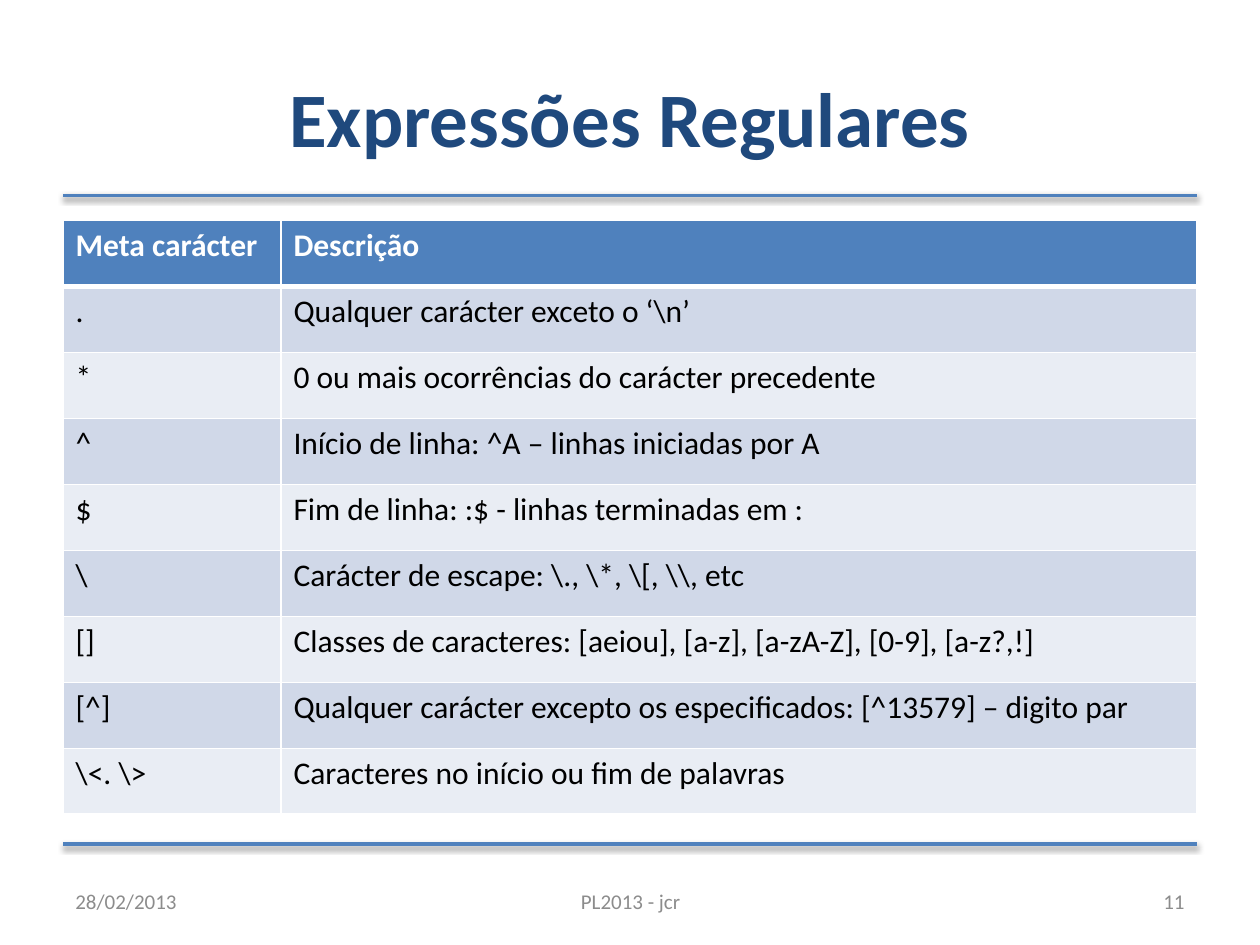
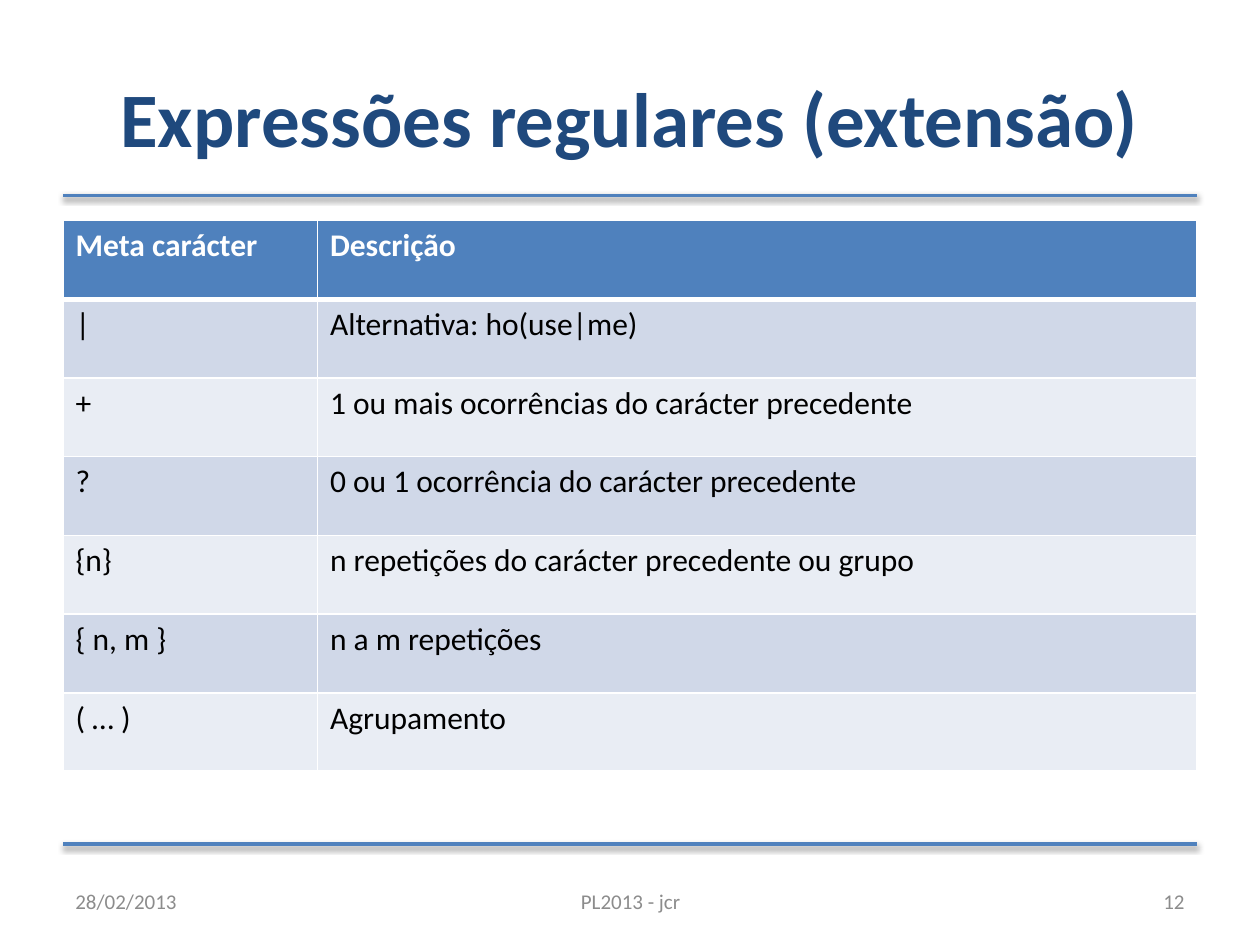
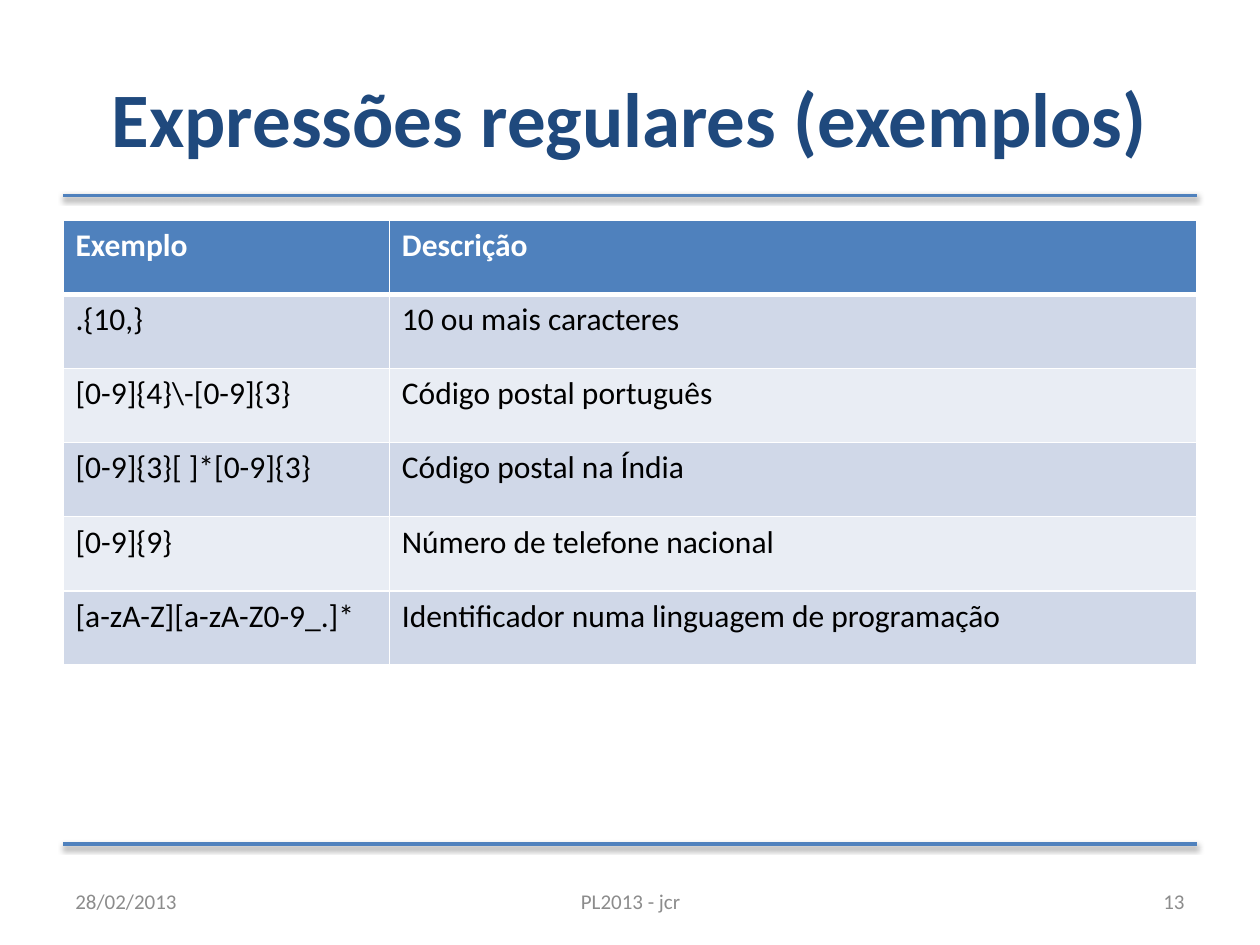
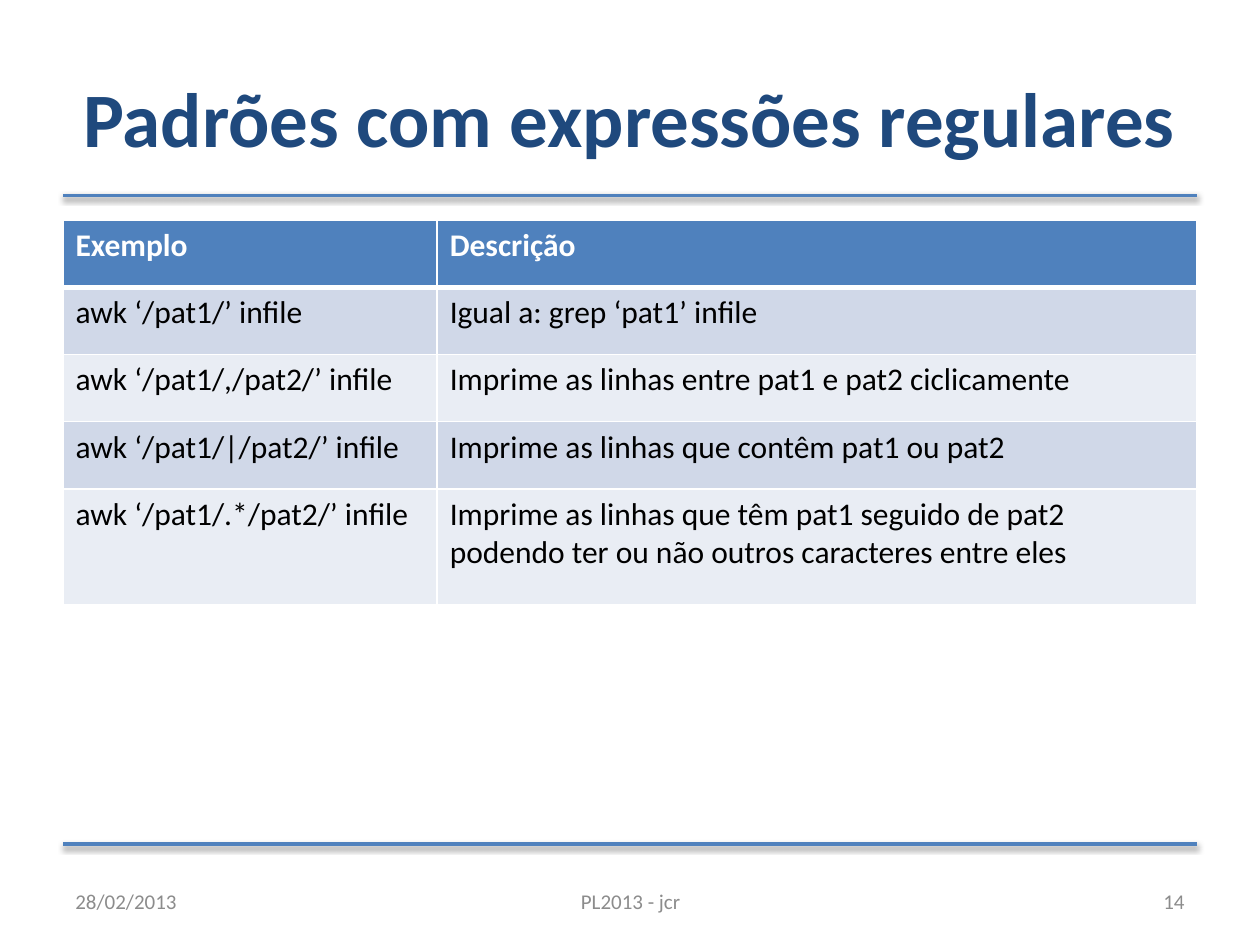
"""Build four slides of regular expression tables with a shared title, rules and footer."""
from lxml import etree
from pptx import Presentation
from pptx.dml.color import RGBColor
from pptx.enum.shapes import MSO_CONNECTOR
from pptx.enum.text import MSO_ANCHOR, MSO_AUTO_SIZE, PP_ALIGN
from pptx.oxml import parse_xml
from pptx.oxml.ns import nsdecls
from pptx.util import Inches, Pt

LEFT, CENTER, RIGHT = PP_ALIGN.LEFT, PP_ALIGN.CENTER, PP_ALIGN.RIGHT
MIDDLE = MSO_ANCHOR.MIDDLE
STRAIGHT = MSO_CONNECTOR.STRAIGHT
NO_AUTOFIT = MSO_AUTO_SIZE.NONE

FONT = "Calibri"
NAVY, BLUE, GREY = "1F497D", "4F81BD", "8C8C8C"
WHITE, BLACK = "FFFFFF", "000000"
BANDS = ["E9EDF4", "D0D8E8"]
MARGIN, WIDTH = 0.5, 9
TABLE_TOP = 1.75
RULE_TOPS = [1.55, 6.7]
FIRST_NUMBER = 11

SHADOW = (
    f'<a:effectLst {nsdecls("a")}><a:outerShdw blurRad="40000" dist="20000" dir="5400000" '
    'rotWithShape="0"><a:srgbClr val="000000"><a:alpha val="38000"/></a:srgbClr>'
    '</a:outerShdw></a:effectLst>'
)

TOPICS = [
    {
        "title": "Expressões Regulares",
        "first_column": 1.73, "height": 4.71, "last_row": 0.52,
        "rows": [
            ("Meta carácter", "Descrição"),
            (".", "Qualquer carácter exceto o ‘\\n’"),
            ("*", "0 ou mais ocorrências do carácter precedente"),
            ("^", "Início de linha: ^A – linhas iniciadas por A"),
            ("$", "Fim de linha: :$ - linhas terminadas em :"),
            ("\\", "Carácter de escape: \\., \\*, \\[, \\\\, etc"),
            ("[]", "Classes de caracteres: [aeiou], [a-z], [a-zA-Z], [0-9], [a-z?,!]"),
            ("[^]", "Qualquer carácter excepto os especificados: [^13579] – digito par"),
            ("\\<. \\>", "Caracteres no início ou fim de palavras"),
        ],
    },
    {
        "title": "Expressões regulares (extensão)",
        "first_column": 2.02, "height": 4.37, "last_row": 0.62,
        "rows": [
            ("Meta carácter", "Descrição"),
            ("|", "Alternativa: ho(use|me)"),
            ("+", "1 ou mais ocorrências do carácter precedente"),
            ("?", "0 ou 1 ocorrência do carácter precedente"),
            ("{n}", "n repetições do carácter precedente ou grupo"),
            ("{ n, m }", "n a m repetições"),
            ("( … )", "Agrupamento"),
        ],
    },
    {
        "title": "Expressões regulares (exemplos)",
        "first_column": 2.59, "height": 3.53, "last_row": 0.59,
        "rows": [
            ("Exemplo", "Descrição"),
            (".{10,}", "10 ou mais caracteres"),
            ("[0-9]{4}\\-[0-9]{3}", "Código postal português"),
            ("[0-9]{3}[ ]*[0-9]{3}", "Código postal na Índia"),
            ("[0-9]{9}", "Número de telefone nacional"),
            ("[a-zA-Z][a-zA-Z0-9_.]*", "Identificador numa linguagem de programação"),
        ],
    },
    {
        "title": "Padrões com expressões regulares",
        "first_column": 2.97, "height": 3.05, "last_row": 0.92,
        "rows": [
            ("Exemplo", "Descrição"),
            ("awk ‘/pat1/’ infile", "Igual a: grep ‘pat1’ infile"),
            ("awk ‘/pat1/,/pat2/’ infile", "Imprime as linhas entre pat1 e pat2 ciclicamente"),
            ("awk ‘/pat1/|/pat2/’ infile", "Imprime as linhas que contêm pat1 ou pat2"),
            ("awk ‘/pat1/.*/pat2/’ infile",
             "Imprime as linhas que têm pat1 seguido de pat2 podendo ter ou não "
             "outros caracteres entre eles"),
        ],
    },
]


def color(target, value):
    """Give a fill or a font a solid colour from a hex string."""
    if hasattr(target, "solid"):
        target.solid()
        target.fore_color.rgb = RGBColor.from_string(value)
    else:
        target.color.rgb = RGBColor.from_string(value)


def write(frame, text, size, ink, bold=False, align=LEFT):
    """Put one formatted paragraph into a text frame."""
    frame.text = text
    paragraph = frame.paragraphs[0]
    paragraph.alignment = align
    paragraph.font.name = FONT
    paragraph.font.size = Pt(size)
    paragraph.font.bold = bold
    color(paragraph.font, ink)


deck = Presentation()
deck.slide_width, deck.slide_height = Inches(10), Inches(7.5)
layout = deck.slide_layouts[5]

for number, topic in enumerate(TOPICS, FIRST_NUMBER):
    page = deck.slides.add_slide(layout)

    for top in RULE_TOPS:
        rule = page.shapes.add_connector(
            STRAIGHT, Inches(MARGIN), Inches(top), Inches(MARGIN + WIDTH), Inches(top))
        color(rule.line.fill, BLUE)
        rule.line.width = Pt(2)
        rule.element.spPr.append(parse_xml(SHADOW))

    title = page.shapes.title
    title.left, title.top = Inches(MARGIN), Inches(0.3)
    title.width, title.height = Inches(WIDTH), Inches(1.25)
    title.text_frame.auto_size = NO_AUTOFIT
    title.text_frame.vertical_anchor = MIDDLE
    write(title.text_frame, topic["title"], 44, NAVY, True, CENTER)

    rows = topic["rows"]
    table = page.shapes.add_table(
        len(rows), 2, Inches(MARGIN), Inches(TABLE_TOP),
        Inches(WIDTH), Inches(topic["height"])).table
    table.columns[0].width = Inches(topic["first_column"])
    table.columns[1].width = Inches(WIDTH - topic["first_column"])
    for row in table.rows:
        row.height = Inches((topic["height"] - topic["last_row"]) / (len(rows) - 1))
    table.rows[len(rows) - 1].height = Inches(topic["last_row"])

    for row_index, texts in enumerate(rows):
        header = row_index == 0
        for column_index, text in enumerate(texts):
            cell = table.cell(row_index, column_index)
            properties = cell._tc.get_or_add_tcPr()
            for side in "LRTB":
                thick = (header and side == "B") or (row_index == 1 and side == "T")
                properties.append(parse_xml(
                    f'<a:ln{side} {nsdecls("a")} w="{Pt(3 if thick else 1)}"/>'))
                fill = etree.SubElement(properties[-1], properties[-1].tag.split("}")[0] + "}solidFill")
                etree.SubElement(fill, fill.tag.replace("solidFill", "srgbClr"), val=WHITE)
            color(cell.fill, BLUE if header else BANDS[row_index % 2])
            write(cell.text_frame, text, 18, WHITE if header else BLACK, header)

    for left, width, text, align in [
        (MARGIN, 2.33, "28/02/2013", LEFT),
        (3.42, 3.17, "PL2013 - jcr", CENTER),
        (7.17, 2.33, str(number), RIGHT),
    ]:
        box = page.shapes.add_textbox(Inches(left), Inches(6.95), Inches(width), Inches(0.4))
        box.text_frame.word_wrap = True
        box.text_frame.vertical_anchor = MIDDLE
        write(box.text_frame, text, 12, GREY, align=align)

deck.save("out.pptx")
